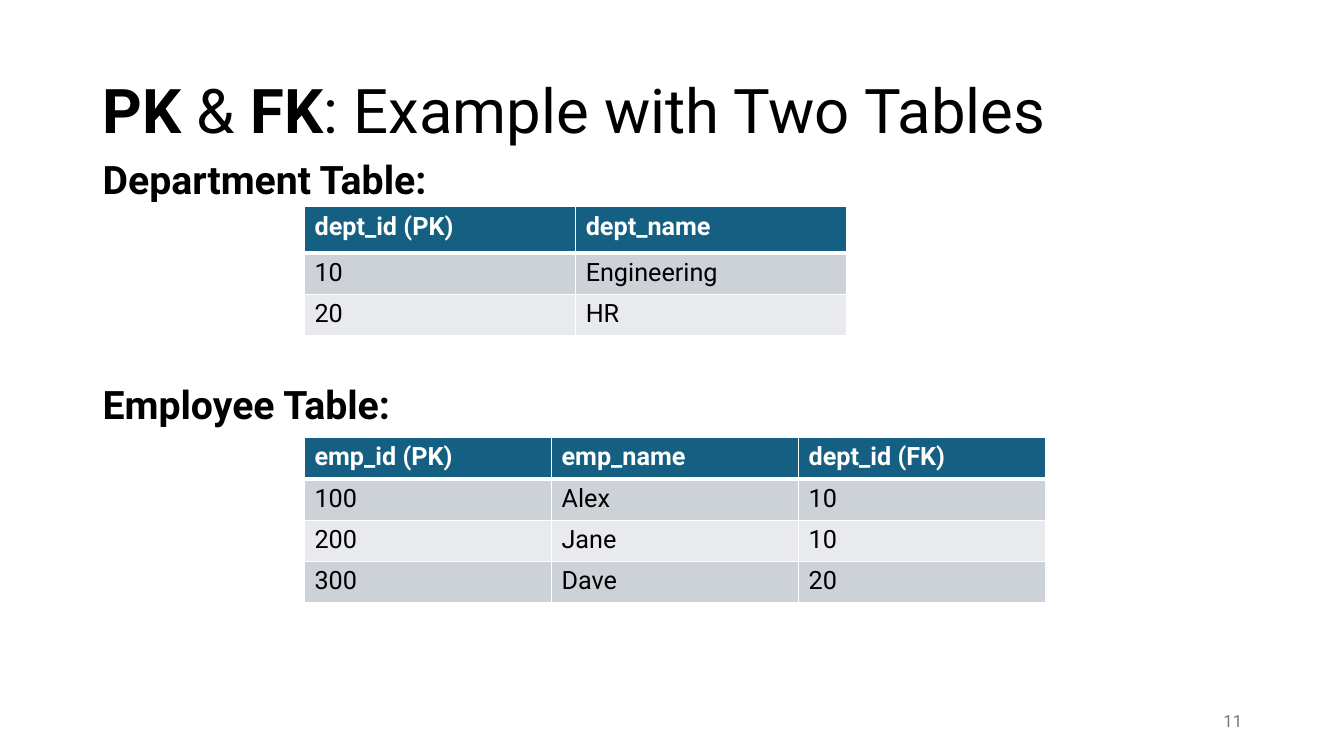
from dataclasses import dataclass

from lxml.etree import SubElement
from pptx import Presentation
from pptx.dml.color import RGBColor
from pptx.enum.text import MSO_ANCHOR, PP_ALIGN
from pptx.oxml.ns import qn
from pptx.slide import Slide
from pptx.table import _Cell as Cell
from pptx.text.text import Font, TextFrame
from pptx.util import Inches, Pt

FONT_NAME = "Roboto"
BLACK = RGBColor(0x00, 0x00, 0x00)
WHITE = RGBColor(0xFF, 0xFF, 0xFF)
GRAY = RGBColor(0x79, 0x79, 0x79)
HEADER_BLUE = RGBColor(0x15, 0x60, 0x82)
BAND_COLORS = (RGBColor(0xCC, 0xD2, 0xD8), RGBColor(0xE8, 0xEA, 0xED))

TEXT_LEFT = 0.92
TEXT_WIDTH = 11.5
TABLE_LEFT = 3.02
ROW_HEIGHT = 0.41


@dataclass(frozen=True)
class DataTable:
    heading: str
    space_before: float
    top: float
    column_width: float
    header_height: float
    rows: tuple[tuple[str, ...], ...]


TABLES = (
    DataTable("Department Table:", 10, 2.05, 2.69, 0.46, (
        ("dept_id (PK)", "dept_name"),
        ("10", "Engineering"),
        ("20", "HR"),
    )),
    DataTable("Employee Table:", 131, 4.34, 2.45, ROW_HEIGHT, (
        ("emp_id (PK)", "emp_name", "dept_id (FK)"),
        ("100", "Alex", "10"),
        ("200", "Jane", "10"),
        ("300", "Dave", "20"),
    )),
)


def set_font(font: Font, size: float, color: RGBColor, bold: bool = False) -> None:
    font.name = FONT_NAME
    font.size = Pt(size)
    font.bold = bold
    font.color.rgb = color


def add_text_frame(slide: Slide, left: float, top: float, width: float,
                   height: float, anchor: MSO_ANCHOR) -> TextFrame:
    text_box = slide.shapes.add_textbox(
        Inches(left), Inches(top), Inches(width), Inches(height))
    text_frame = text_box.text_frame
    text_frame.word_wrap = True
    text_frame.vertical_anchor = anchor
    return text_frame


def add_title(slide: Slide) -> None:
    text_frame = add_text_frame(
        slide, TEXT_LEFT, 0.4, TEXT_WIDTH, 1.45, MSO_ANCHOR.MIDDLE)
    paragraph = text_frame.paragraphs[0]
    paragraph.line_spacing = 0.9
    for text in ("PK", " & ", "FK", ": Example with Two Tables"):
        run = paragraph.add_run()
        run.text = text
        set_font(run.font, 44, BLACK, bold=text in ("PK", "FK"))


def add_headings(slide: Slide) -> None:
    text_frame = add_text_frame(
        slide, TEXT_LEFT, 1.54, TEXT_WIDTH, 5.41, MSO_ANCHOR.TOP)
    text_frame.text = "\n".join(table.heading for table in TABLES)
    for paragraph, table in zip(text_frame.paragraphs, TABLES):
        paragraph.line_spacing = 0.9
        paragraph.space_before = Pt(table.space_before)
        set_font(paragraph.font, 28, BLACK, bold=True)


def add_page_number(slide: Slide) -> None:
    text_frame = add_text_frame(slide, 9.42, 6.95, 3, 0.4, MSO_ANCHOR.MIDDLE)
    paragraph = text_frame.paragraphs[0]
    paragraph.text = "11"
    paragraph.alignment = PP_ALIGN.RIGHT
    set_font(paragraph.font, 12, GRAY)


def set_borders(cell: Cell, top_width: float, bottom_width: float) -> None:
    properties = cell._tc.get_or_add_tcPr()
    widths = {"lnL": 1, "lnR": 1, "lnT": top_width, "lnB": bottom_width}
    for side, width in widths.items():
        line = SubElement(properties, qn(f"a:{side}"), w=str(Pt(width)))
        fill = SubElement(line, qn("a:solidFill"))
        SubElement(fill, qn("a:srgbClr"), val=str(WHITE))


def add_data_table(slide: Slide, data: DataTable) -> None:
    row_count, column_count = len(data.rows), len(data.rows[0])
    height = data.header_height + (row_count - 1) * ROW_HEIGHT
    table = slide.shapes.add_table(
        row_count, column_count, Inches(TABLE_LEFT), Inches(data.top),
        Inches(column_count * data.column_width), Inches(height)).table
    for column in table.columns:
        column.width = Inches(data.column_width)
    for row_index, values in enumerate(data.rows):
        is_header = row_index == 0
        row = table.rows[row_index]
        row.height = Inches(data.header_height if is_header else ROW_HEIGHT)
        for cell, value in zip(row.cells, values):
            set_borders(cell, top_width=3 if row_index == 1 else 1,
                        bottom_width=3 if is_header else 1)
            cell.fill.solid()
            cell.fill.fore_color.rgb = (
                HEADER_BLUE if is_header else BAND_COLORS[(row_index - 1) % 2])
            cell.text = value
            set_font(cell.text_frame.paragraphs[0].font, 18,
                     WHITE if is_header else BLACK, bold=is_header)


def main() -> None:
    presentation = Presentation()
    presentation.slide_width = Inches(13.33)
    presentation.slide_height = Inches(7.5)
    slide = presentation.slides.add_slide(presentation.slide_layouts[6])
    add_title(slide)
    add_headings(slide)
    add_page_number(slide)
    for data in TABLES:
        add_data_table(slide, data)
    presentation.save("out.pptx")


if __name__ == "__main__":
    main()
